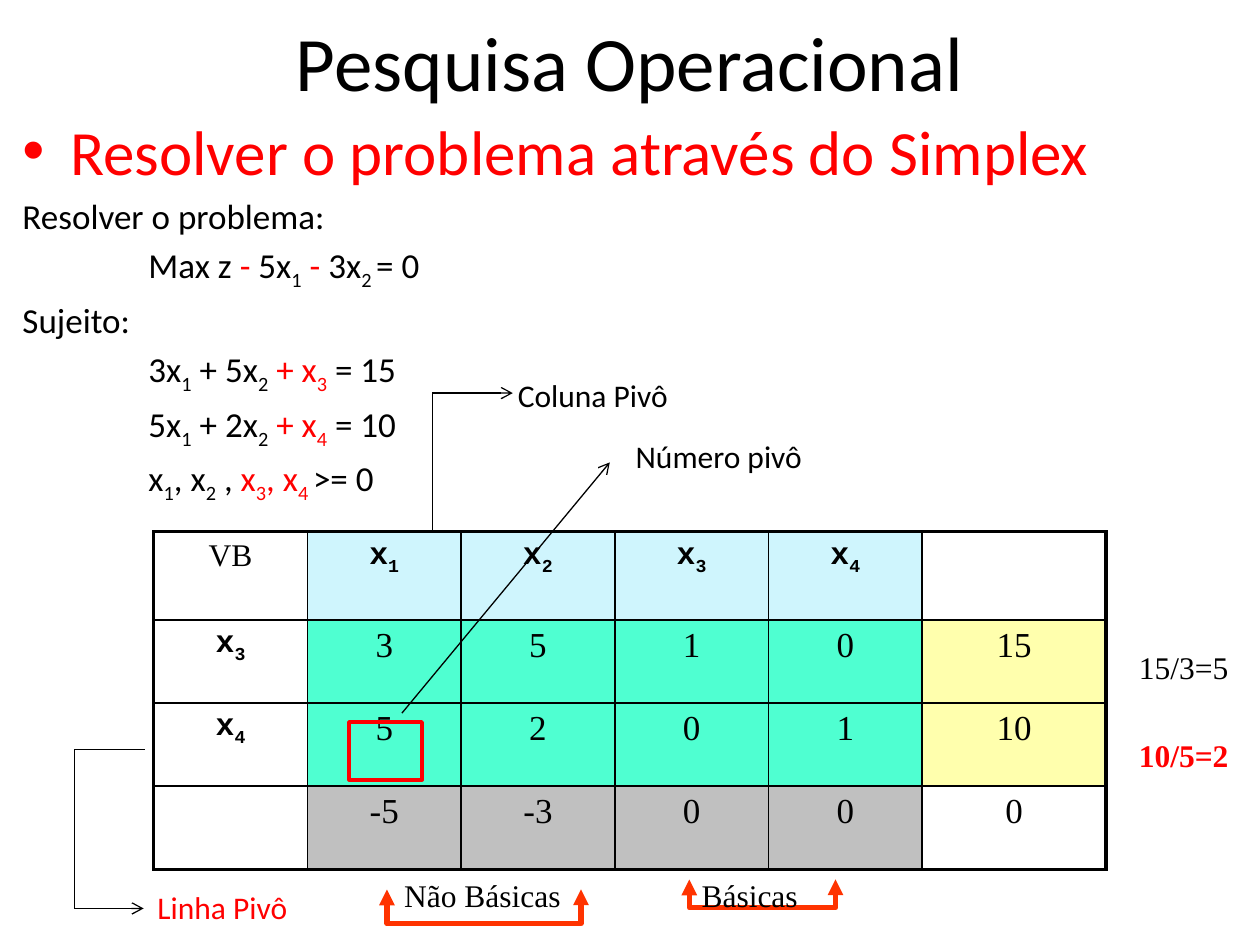
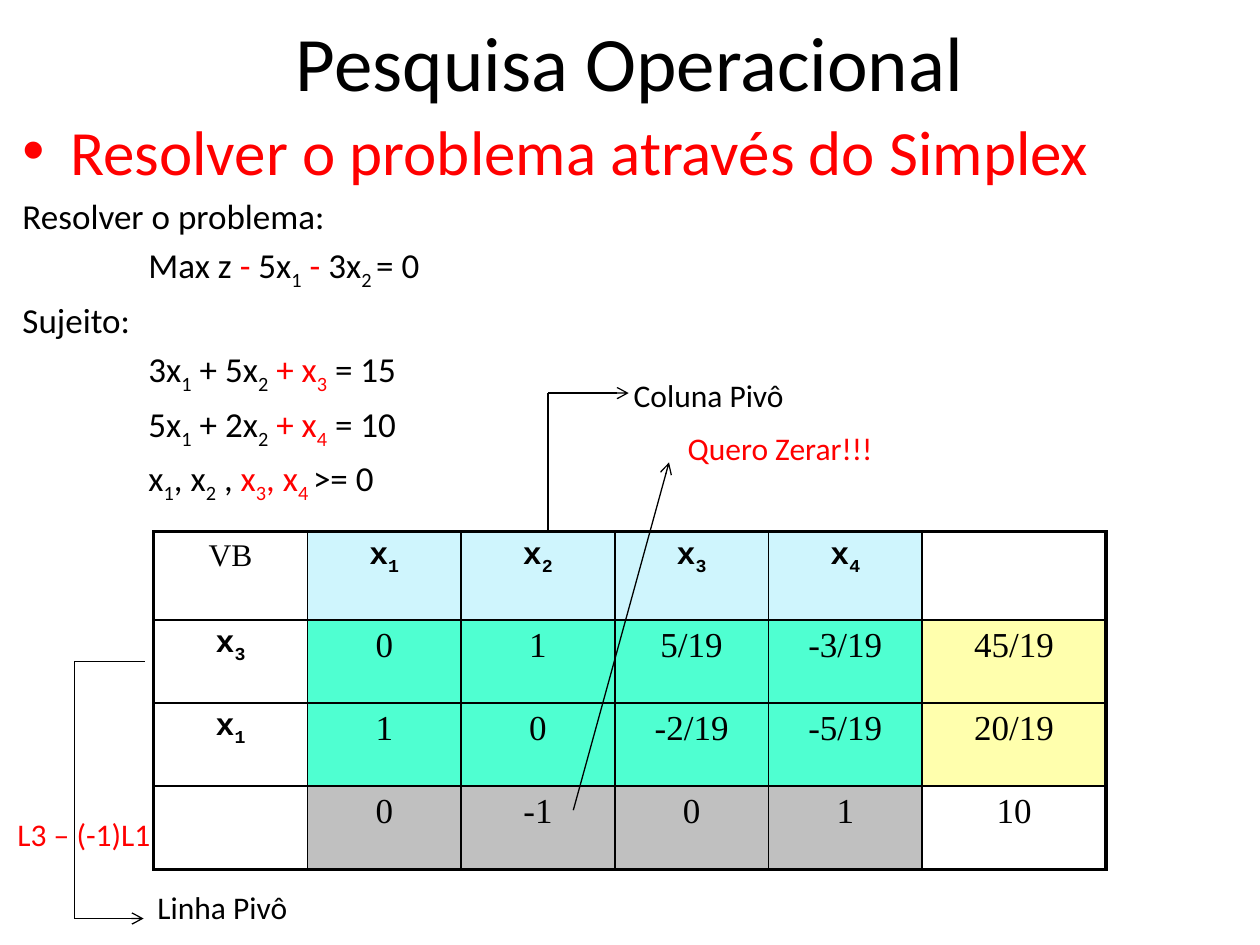
from pptx import Presentation
from pptx.dml.color import RGBColor as RGB
from pptx.enum.shapes import MSO_CONNECTOR as LINK, MSO_SHAPE as SHAPE
from pptx.enum.text import MSO_ANCHOR as ANCHOR, MSO_AUTO_SIZE as FIT, PP_ALIGN as ALIGN
from pptx.oxml.ns import qn
from pptx.util import Emu, Inches, Pt
from lxml.etree import SubElement as sub

BLACK = RGB(0, 0, 0)
RED = RGB(0xFF, 0, 0)
ORANGE = RGB(0xFF, 0x33, 0)
SKY = RGB(0xCF, 0xF5, 0xFD)
GREEN = RGB(0x4F, 0xFF, 0xD1)
CREAM = RGB(0xFF, 0xFF, 0xAD)
GREY = RGB(0xC0, 0xC0, 0xC0)

SANS, SERIF, MONO = "Calibri", "Times New Roman", "Courier New"

# The slide is a grid of 1000 columns by 750 rows.
WIDE, HIGH = Inches(10), Inches(7.5)
UNIT = WIDE // 1000

LEFT, TOP = 122, 422
COLS = [122] * 5 + [146]
ROWS = [70] + [66] * 3

TITLE = "Pesquisa Operacional"
HEAD = "Resolver o problema através do Simplex"
# *...* is red, ~...~ is subscript
MODEL = [
    "Resolver o problema:",
    "\tMax z *-* 5x~1~ *-* 3x~2 ~= 0",
    "Sujeito:",
    "\t3x~1~ + 5x~2~ *+ x~3~* = 15",
    "\t5x~1~ + 2x~2~ *+ x~4~* = 10",
    "\tx~1~, x~2~ , *x~3~, x~4 ~*>= 0",
]
NAMES = ["VB", "x~1~", "x~2~", "x~3~", "x~4~", ""]
FIRST = [
    NAMES,
    ["x~3~", "3", "5", "1", "0", "15"],
    ["x~4~", "5", "2", "0", "1", "10"],
    ["", "-5", "-3", "0", "0", "0"],
]
LAST = [
    NAMES,
    ["x~3~", "0", "1", "5/19", "-3/19", "45/19"],
    ["x~1~", "1", "0", "-2/19", "-5/19", "20/19"],
    ["", "0", "-1", "0", "1", "10"],
]


def grid(*spots):
    """Turn grid counts into lengths."""
    return [Emu(round(n * UNIT)) for n in spots]


def put(item, vals):
    """Set the attributes of an item from a dict."""
    for name, val in vals.items():
        setattr(item, name, val)


def write(para, text, size, font=SANS, color=BLACK, bold=False):
    """Write marked text as runs of one paragraph."""
    for i, part in enumerate(text.split("*")):
        for j, bit in enumerate(part.split("~")):
            if not bit:
                continue
            run = para.add_run()
            run.text = bit
            put(run.font, {"size": Pt(size), "name": font, "bold": bold})
            run.font.color.rgb = RED if i % 2 else color
            if j % 2:
                run.font._element.set("baseline", "-25000")


def box(slide, spot, **vals):
    """Add a text box and return its frame."""
    frame = slide.shapes.add_textbox(*grid(*spot)).text_frame
    put(frame, {"word_wrap": True, "auto_size": FIT.NONE, **vals})
    return frame


def label(slide, spot, text, size=18, color=BLACK):
    """Add a centred label."""
    frame = box(slide, spot, vertical_anchor=ANCHOR.MIDDLE)
    para = frame.paragraphs[0]
    para.alignment = ALIGN.CENTER
    write(para, text, size, color=color)


def note(slide, spot, text, **look):
    """Add a left-aligned note that fits its text."""
    frame = box(slide, spot, word_wrap=False, auto_size=FIT.SHAPE_TO_FIT_TEXT)
    write(frame.paragraphs[0], text, 18, **look)


def body(slide):
    """Add the red bullet and the model below it."""
    frame = box(slide, (8, 84, 988, 658))
    para = frame.paragraphs[0]
    para.space_before = Pt(7)
    write(para, HEAD, 36, color=RED)
    props = para._p.get_or_add_pPr()
    props.set("marL", str(Inches(0.38)))
    props.set("indent", str(-Inches(0.38)))
    sub(props, qn("a:buFont")).set("typeface", "Arial")
    sub(props, qn("a:buChar")).set("char", "•")
    for text in MODEL:
        para = frame.add_paragraph()
        para.space_before = Pt(4)
        write(para, text, 20)
        tabs = sub(para._p.get_or_add_pPr(), qn("a:tabLst"))
        tab = sub(tabs, qn("a:tab"))
        tab.set("pos", str(Inches(1)))
        tab.set("algn", "l")


def edge(cell, side, width):
    """Draw one black side of a cell."""
    line = sub(cell._tc.get_or_add_tcPr(), qn("a:ln" + side))
    line.set("w", str(Pt(width)))
    fill = sub(line, qn("a:solidFill"))
    sub(fill, qn("a:srgbClr")).set("val", str(BLACK))


def shade(row, col):
    """Give the fill of a cell, or None."""
    end = len(COLS) - 1
    if 0 < col < end:
        return [SKY, GREEN, GREEN, GREY][row]
    return CREAM if col == end and row in (1, 2) else None


def tableau(slide, data):
    """Add the simplex table."""
    spot = grid(LEFT, TOP, sum(COLS), sum(ROWS))
    table = slide.shapes.add_table(len(ROWS), len(COLS), *spot).table
    put(table, {"first_row": False, "horz_banding": False})
    for col, width in zip(table.columns, grid(*COLS)):
        col.width = width
    for row, height in zip(table.rows, grid(*ROWS)):
        row.height = height
    for r, line in enumerate(data):
        for c, text in enumerate(line):
            cell = table.cell(r, c)
            outer = {"L": c == 0, "R": c == len(COLS) - 1,
                     "T": r == 0, "B": r == len(ROWS) - 1}
            for side, thick in outer.items():
                edge(cell, side, 2.25 if thick else 1)
            color = shade(r, c)
            if color is None:
                cell.fill.background()
            else:
                cell.fill.solid()
                cell.fill.fore_color.rgb = color
            size = 18 if r == 0 or c == 0 else 20
            name = "x" in text
            para = cell.text_frame.paragraphs[0]
            put(para, {"alignment": ALIGN.CENTER, "space_before": Pt(size / 5)})
            write(para, text, size, MONO if name else SERIF, bold=name)


def style(link, color, width, **ends):
    """Set colour, width and arrowheads of a connector."""
    link.line.color.rgb = color
    link.line.width = Pt(width)
    line = link.line._get_or_add_ln()
    for end, kind in ends.items():
        sub(line, qn("a:" + end)).set("type", kind)
    sub(link._element.spPr, qn("a:effectLst"))


def trail(slide, *spots):
    """Join spots by thin lines, the last with an arrow."""
    for i, (start, stop) in enumerate(zip(spots, spots[1:])):
        link = slide.shapes.add_connector(LINK.STRAIGHT, *grid(*start, *stop))
        ends = {"tailEnd": "arrow"} if i == len(spots) - 2 else {}
        style(link, BLACK, 0.75, **ends)


def brace(slide, left, right, top, deep):
    """Add an orange bracket that points up at both ends."""
    thin, span = 1588, right - left
    x, y = grid((left + right) / 2, top - span / 2)
    link = slide.shapes.add_connector(
        LINK.ELBOW, x, y, x + thin, y + grid(span)[0])
    props = link._element.spPr
    props.find(qn("a:xfrm")).set("rot", "5400000")
    geom = props.find(qn("a:prstGeom"))
    guides = geom.find(qn("a:avLst"))
    if guides is None:
        guides = sub(geom, qn("a:avLst"))
    guide = sub(guides, qn("a:gd"))
    guide.set("name", "adj1")
    guide.set("fmla", f"val {round(deep * UNIT / thin * 100000)}")
    style(link, ORANGE, 3, headEnd="triangle", tailEnd="triangle")


def frame(slide, spot):
    """Add a red outline around the pivot."""
    rect = slide.shapes.add_shape(SHAPE.RECTANGLE, *grid(*spot))
    rect.shadow.inherit = False
    rect.fill.background()
    rect.line.color.rgb = RED
    rect.line.width = Pt(2)


def pivots(slide, x, top, low, color):
    """Mark the pivot column and the pivot row."""
    trail(slide, (x, TOP), (x, 312), (x + 64, 312))
    label(slide, (x + 49, 296, 157, 35), "Coluna Pivô")
    trail(slide, (115, top), (59, top), (59, low), (114, low))
    label(slide, (98, 702, 157, 35), "Linha Pivô", color=color)


def page(deck, data):
    """Add a slide with the shared parts."""
    slide = deck.slides.add_slide(deck.slide_layouts[6])
    body(slide)
    label(slide, (50, 5, 900, 87), TITLE, 44)
    tableau(slide, data)
    return slide


def main():
    """Build both slides and save them."""
    deck = Presentation()
    put(deck, {"slide_width": WIDE, "slide_height": HIGH})

    slide = page(deck, FIRST)
    brace(slide, 547, 663, 698, 25)
    note(slide, (311, 690, 146, 40), "Não Básicas", font=SERIF)
    note(slide, (547, 690, 122, 50), "Básicas", font=SERIF)
    brace(slide, 307, 461, 706, 30)
    frame(slide, (277, 573, 58, 46))
    pivots(slide, 343, 595, 721, RED)
    note(slide, (894, 509, 102, 40), "15/3=5", font=SERIF)
    note(slide, (894, 579, 102, 40), "10/5=2", font=SERIF, color=RED, bold=True)
    trail(slide, (319, 566), (484, 367))
    label(slide, (492, 344, 157, 35), "Número pivô")

    slide = page(deck, LAST)
    pivots(slide, 435, 525, 729, BLACK)
    trail(slide, (455, 643), (531, 367))
    note(slide, (536, 336, 168, 40), "Quero Zerar!!!", color=RED)
    note(slide, (4, 642, 142, 40), "L3 – (-1)L1", color=RED)

    deck.save("out.pptx")


main()
